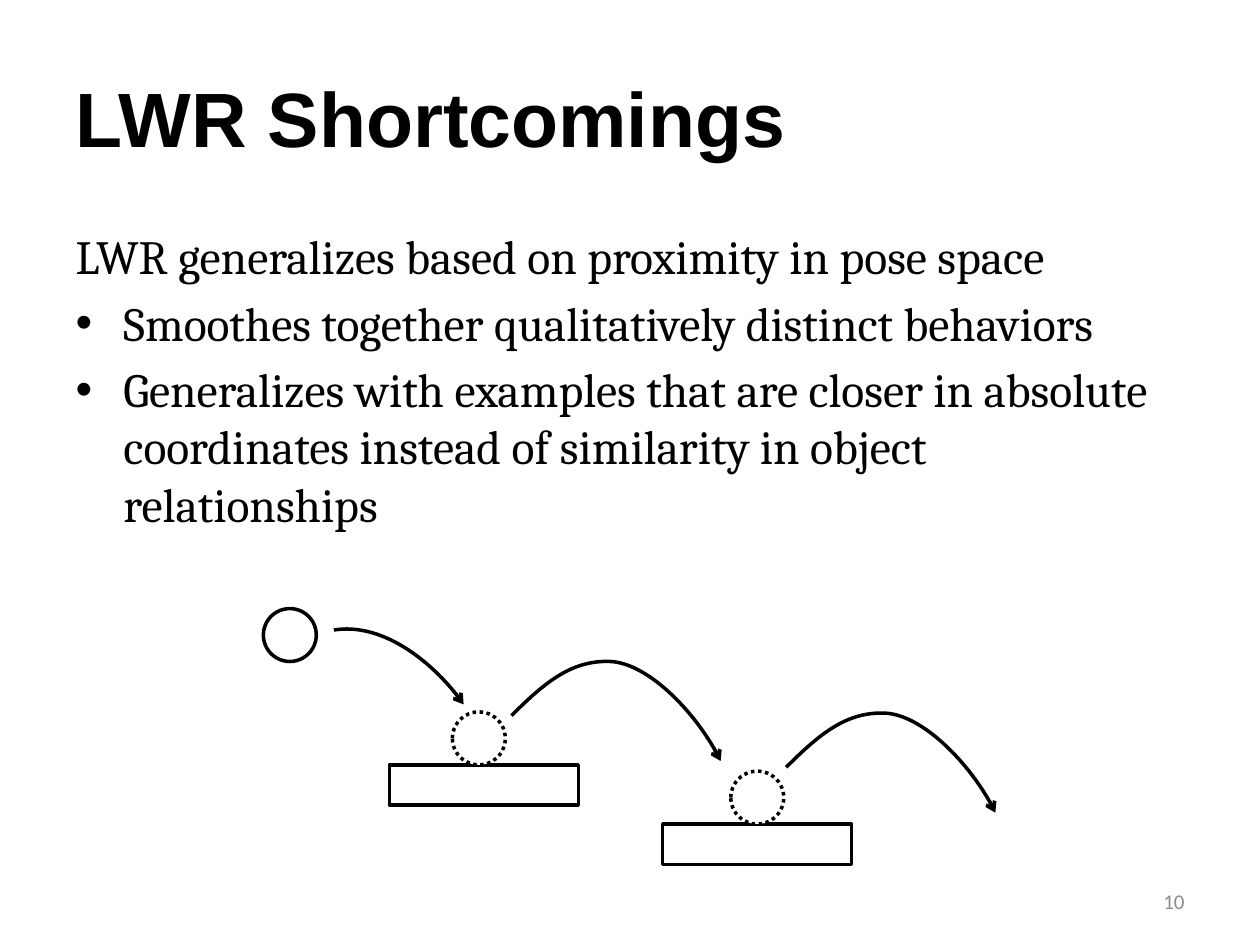
from pptx import Presentation
from pptx.dml.color import RGBColor
from pptx.enum.dml import MSO_LINE
from pptx.enum.shapes import MSO_SHAPE
from pptx.enum.text import MSO_ANCHOR, MSO_AUTO_SIZE, PP_ALIGN
from pptx.oxml.ns import qn
from pptx.util import Inches, Pt
from lxml.etree import SubElement

COLORS = {"ink": "000000", "paper": "FFFFFF", "muted": "8C8C8C"}
FORMATS = {
    "title": {"name": "Arial", "size": Pt(44), "bold": True},
    "body": {"name": "Cambria", "size": Pt(27.2)},
    "number": {"name": "Calibri", "size": Pt(12)},
}
COLUMNS, ROWS = 100, 75
CELL = Inches(0.1)
BALL = 4.2
PLATFORM = (15, 3.2)


def color(key):
    return RGBColor.from_string(COLORS[key])


def cells(*counts):
    return [round(count * CELL) for count in counts]


class SlideBuilder:
    """Places styled elements on a grid of 100 columns and 75 rows."""

    def __init__(self, deck):
        self.slide = deck.slides.add_slide(deck.slide_layouts[1])
        self.shapes = self.slide.shapes
        for placeholder in list(self.slide.placeholders)[2:]:
            placeholder.element.getparent().remove(placeholder.element)

    def set_text(self, holder, box, lines, style, ink="ink",
                 align=PP_ALIGN.LEFT, anchor=MSO_ANCHOR.MIDDLE):
        holder.left, holder.top, holder.width, holder.height = cells(*box)
        frame = holder.text_frame
        frame.text = "\n".join(lines)
        frame.word_wrap = True
        frame.auto_size = MSO_AUTO_SIZE.NONE
        frame.vertical_anchor = anchor
        for paragraph in frame.paragraphs:
            paragraph.alignment = align
            font = paragraph.runs[0].font
            font.color.rgb = color(ink)
            for key, value in FORMATS[style].items():
                setattr(font, key, value)
        return frame.paragraphs

    def title(self, text, box):
        self.set_text(self.shapes.title, box, [text], "title")

    def body(self, lead, bullets, box):
        """Fill the body with an unbulleted lead line and a bullet list."""
        first, *items = self.set_text(self.slide.placeholders[1], box, [lead, *bullets],
                                      "body", anchor=MSO_ANCHOR.TOP)
        for paragraph, indent in [(first, 0), *((item, 0.38) for item in items)]:
            properties = paragraph._p.get_or_add_pPr()
            properties.set("marL", str(Inches(indent)))
            properties.set("indent", str(-Inches(indent)))
        SubElement(first._p.pPr, qn("a:buNone"))

    def number(self, text, box):
        self.set_text(self.shapes.add_textbox(0, 0, 0, 0), box, [text], "number",
                      "muted", PP_ALIGN.RIGHT)

    def outline(self, shape, dash=None):
        shape.shadow.inherit = False
        for key, value in {"width": Pt(2), "dash_style": dash}.items():
            setattr(shape.line, key, value)
        shape.line.color.rgb = color("ink")

    def figure(self, kind, box, dash=None):
        shape = self.shapes.add_shape(kind, *cells(*box))
        shape.fill.solid()
        shape.fill.fore_color.rgb = color("paper")
        self.outline(shape, dash)

    def ball(self, left, top, dash=None):
        self.figure(MSO_SHAPE.OVAL, (left, top, BALL, BALL), dash)

    def landing(self, left, top, ball_offset):
        """Draw a platform with a dotted ball resting on it."""
        self.figure(MSO_SHAPE.RECTANGLE, (left, top, *PLATFORM))
        self.ball(left + ball_offset, top - BALL, MSO_LINE.ROUND_DOT)

    def hop(self, points, shift=(0, 0)):
        """Draw an arrowed Bezier path: a start, then three points per curve."""
        start, *rest = [cells(x + shift[0], y + shift[1]) for x, y in points]
        builder = self.shapes.build_freeform(*start)
        builder.add_line_segments(rest, close=False)
        shape = builder.convert_to_shape()
        shape.fill.background()
        self.outline(shape)
        SubElement(shape.element.spPr.find(qn("a:ln")), qn("a:tailEnd"), type="arrow")
        trajectory = next(shape.element.iter(qn("a:path")))
        segments = trajectory.findall(qn("a:lnTo"))
        for index in range(0, len(segments), 3):
            curve = SubElement(trajectory, qn("a:cubicBezTo"))
            for segment in segments[index:index + 3]:
                curve.append(segment[0])
                trajectory.remove(segment)


def main():
    deck = Presentation()
    deck.slide_width, deck.slide_height = cells(COLUMNS, ROWS)
    page = SlideBuilder(deck)
    page.title("LWR Shortcomings", (5, 3, 90, 12.5))
    page.body(
        "LWR generalizes based on proximity in pose space",
        ["Smoothes together qualitatively distinct behaviors",
         "Generalizes with examples that are closer in absolute coordinates "
         "instead of similarity in object relationships"],
        (5, 17.5, 90, 26.7))
    page.number("10", (71.7, 69.5, 23.3, 4))

    page.ball(20.9, 48.3)
    page.hop([(26.5, 50), (30.2, 49.4), (34.6, 52.7), (36.8, 55.9)])
    page.landing(30.9, 60.7, 5)
    page.landing(52.6, 65.4, 5.4)
    bounce = [(40.6, 56.8), (43.3, 54.1), (45.4, 52.4), (48.4, 52.5),
              (51.3, 52.6), (55.5, 56.8), (57.2, 60.4)]
    for shift in [(0, 0), (21.8, 4.1)]:
        page.hop(bounce, shift)
    deck.save("out.pptx")


if __name__ == "__main__":
    main()
